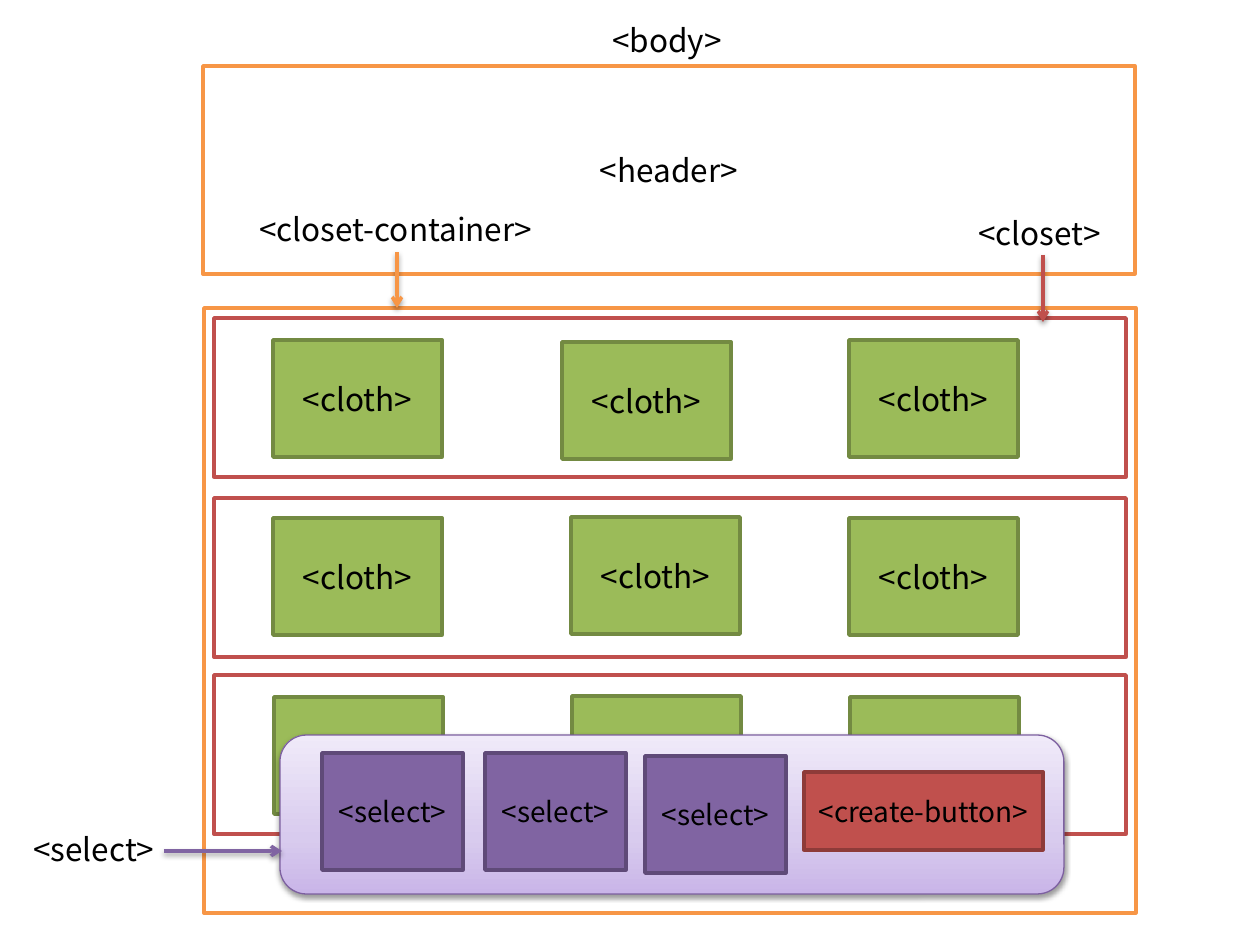
from dataclasses import dataclass

import pptx
import pptx.dml.color
import pptx.enum.shapes
import pptx.enum.text
import pptx.oxml
import pptx.oxml.ns
import pptx.util

EMU_PER_PX = 914400 / 126
NAMESPACE = pptx.oxml.ns.nsdecls("a")
RECTANGLE = pptx.enum.shapes.MSO_SHAPE.RECTANGLE
ROUNDED = pptx.enum.shapes.MSO_SHAPE.ROUNDED_RECTANGLE


@dataclass(frozen=True)
class Theme:
    font: str = "Noto Sans CJK KR"
    text: str = "000000"
    paper: str = "FFFFFF"
    orange: str = "F79646"
    red: str = "C0504D"
    dark_red: str = "8E3B39"
    green: str = "9BBB59"
    dark_green: str = "738A42"
    purple: str = "8064A2"
    dark_purple: str = "5F4A78"
    bar_line: str = "7D60A0"
    bar_stops: tuple = ((0, "C9B5E8"), (35, "D8CBEE"), (100, "F0EAF9"))
    label_size: int = 18
    control_size: int = 16
    line_width: float = 2
    bar_line_width: float = 0.75


def px(length):
    return pptx.util.Emu(round(length * EMU_PER_PX))


def rgb(color):
    return pptx.dml.color.RGBColor.from_string(color)


class Sketch:
    """Draws page-layout elements on one slide in one theme."""

    def __init__(self, slide, theme):
        self.shapes = slide.shapes
        self.theme = theme

    def set_text(self, shape, text, size, alignment):
        shape.text_frame.text = text
        paragraph = shape.text_frame.paragraphs[0]
        paragraph.alignment = alignment
        for run in paragraph.runs:
            run.font.name = self.theme.font
            run.font.size = pptx.util.Pt(size)
            run.font.color.rgb = rgb(self.theme.text)

    def stroke(self, line, color, width):
        line.color.rgb = rgb(color)
        line.width = pptx.util.Pt(width)

    def box(self, bounds, fill, line, text="", size=None):
        shape = self.shapes.add_shape(RECTANGLE, *map(px, bounds))
        shape.shadow.inherit = False
        shape.fill.solid()
        shape.fill.fore_color.rgb = rgb(fill)
        self.stroke(shape.line, line, self.theme.line_width)
        if text:
            shape.text_frame.vertical_anchor = pptx.enum.text.MSO_ANCHOR.MIDDLE
            self.set_text(shape, text, size or self.theme.label_size,
                          pptx.enum.text.PP_ALIGN.CENTER)

    def label(self, bounds, text):
        shape = self.shapes.add_textbox(*map(px, bounds))
        shape.text_frame.word_wrap = False
        self.set_text(shape, text, self.theme.label_size,
                      pptx.enum.text.PP_ALIGN.LEFT)

    def drop_shadow(self, properties):
        """Put a soft shadow below; the line must already be set."""
        properties.append(pptx.oxml.parse_xml(
            f'<a:effectLst {NAMESPACE}><a:outerShdw blurRad="40000" dist="20000" '
            'dir="5400000" rotWithShape="0"><a:srgbClr val="000000">'
            '<a:alpha val="38000"/></a:srgbClr></a:outerShdw></a:effectLst>'))

    def gradient_bar(self, bounds):
        shape = self.shapes.add_shape(ROUNDED, *map(px, bounds))
        stops = "".join(
            f'<a:gs pos="{position * 1000}"><a:srgbClr val="{color}"/></a:gs>'
            for position, color in self.theme.bar_stops)
        properties = shape._element.spPr
        properties.append(pptx.oxml.parse_xml(
            f'<a:gradFill {NAMESPACE} rotWithShape="1"><a:gsLst>{stops}</a:gsLst>'
            '<a:lin ang="16200000" scaled="0"/></a:gradFill>'))
        self.stroke(shape.line, self.theme.bar_line, self.theme.bar_line_width)
        self.drop_shadow(properties)

    def arrow(self, ends, color):
        connector = self.shapes.add_connector(
            pptx.enum.shapes.MSO_CONNECTOR.STRAIGHT, *map(px, ends))
        self.stroke(connector.line, color, self.theme.line_width)
        properties = connector._element.spPr
        properties.find(pptx.oxml.ns.qn("a:ln")).append(
            pptx.oxml.parse_xml(f'<a:tailEnd {NAMESPACE} type="arrow"/>'))
        self.drop_shadow(properties)


def draw_closets(sketch, theme):
    closet_tops = (318, 498, 675)
    for top in closet_tops:
        sketch.box((214, top, 912, 159), theme.paper, theme.red)

    cloth_rows = (
        ("<cloth>", ((273, 340), (562, 342), (849, 340))),
        ("<cloth>", ((273, 518), (571, 517), (849, 518))),
        ("", ((274, 697), (572, 696), (850, 697))),
    )
    for text, corners in cloth_rows:
        for left, top in corners:
            sketch.box((left, top, 169, 117), theme.green, theme.dark_green, text)


def draw_select_bar(sketch, theme):
    sketch.gradient_bar((280, 735, 784, 159))
    for left, top in ((322, 753), (485, 753), (645, 756)):
        sketch.box((left, top, 141, 117), theme.purple, theme.dark_purple,
                   "<select>", theme.control_size)
    sketch.box((804, 772, 239, 78), theme.red, theme.dark_red,
               "<create-button>", theme.control_size)


def main():
    theme = Theme()
    presentation = pptx.Presentation()
    presentation.slide_width = px(1260)
    presentation.slide_height = px(945)
    slide = presentation.slides.add_slide(presentation.slide_layouts[6])
    sketch = Sketch(slide, theme)

    sketch.box((203, 66, 932, 208), theme.paper, theme.orange, "<header>")
    sketch.box((204, 308, 932, 605), theme.paper, theme.orange)
    draw_closets(sketch, theme)
    draw_select_bar(sketch, theme)

    sketch.label((600, 15, 142, 50), "<body>")
    sketch.label((247, 204, 299, 50), "<closet-container>")
    sketch.label((966, 208, 154, 50), "<closet>")
    sketch.label((21, 824, 151, 50), "<select>")
    sketch.arrow((397, 252, 397, 308), theme.orange)
    sketch.arrow((1043, 255, 1043, 322), theme.red)
    sketch.arrow((164, 851, 282, 851), theme.purple)

    presentation.save("out.pptx")


if __name__ == "__main__":
    main()
